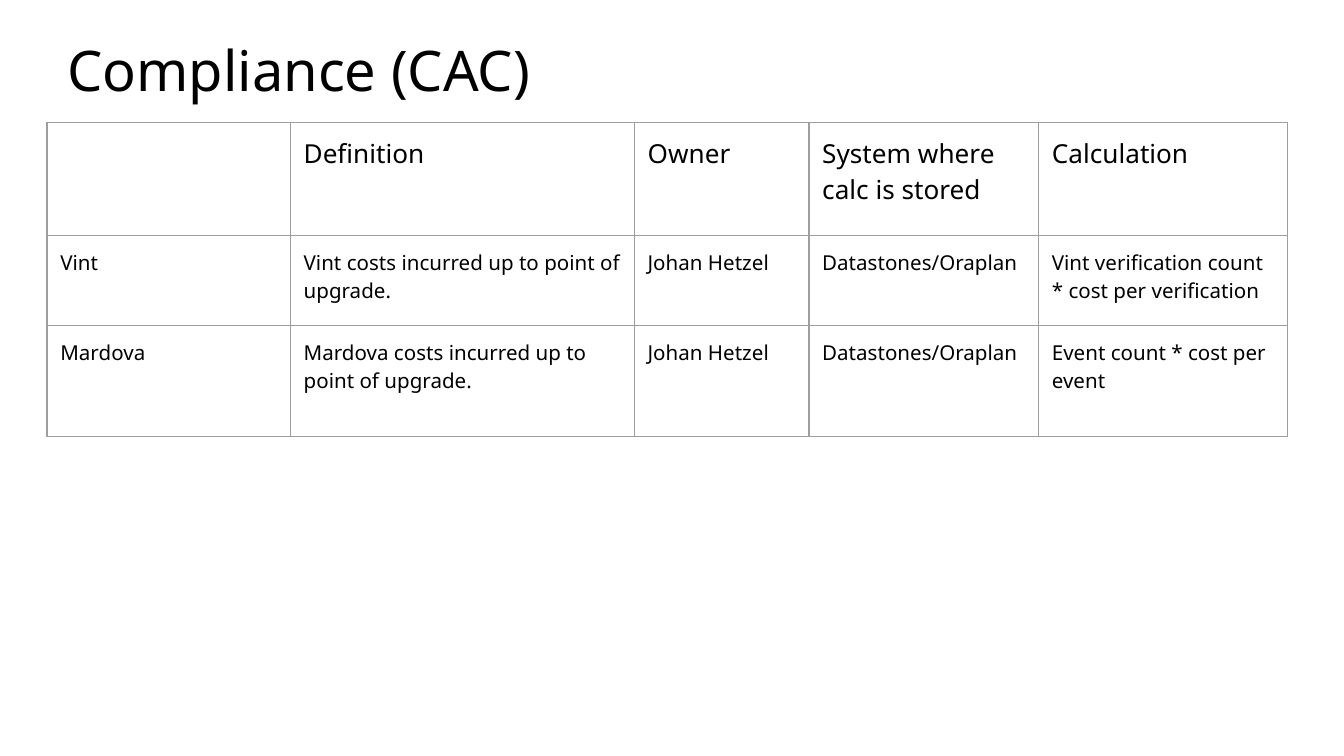
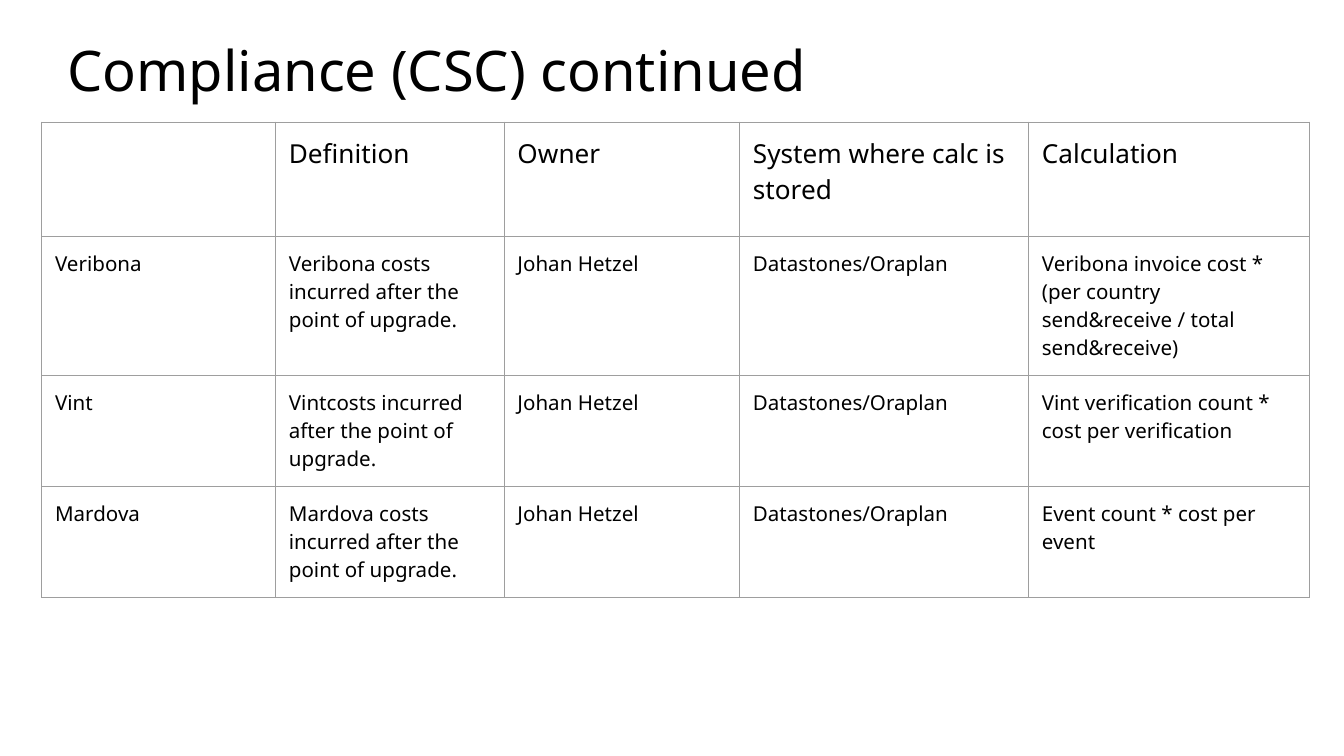
from lxml.etree import SubElement as Sub
from pptx import Presentation
from pptx.dml.color import RGBColor
from pptx.enum.text import MSO_ANCHOR as Anchor, MSO_AUTO_SIZE as Auto, PP_ALIGN as Align
from pptx.oxml.ns import qn
from pptx.util import Cm, Pt

INK = RGBColor(0x00, 0x00, 0x00)
RULE = RGBColor(0x9E, 0x9E, 0x9E)
FONT = "Noto Sans"
INSET = Cm(0.25)
TOP = 2.31
HEAD = ["", "Definition", "Owner", "System where calc is stored", "Calculation"]
OWNER = "Johan Hetzel"
STORE = "Datastones/Oraplan"
VINT = "Vint verification count * cost per verification"
EVENT = "Event count * cost per event"


def pad(box):
    """Give a frame or cell the shared inset on all sides."""
    box.margin_left = box.margin_right = INSET
    box.margin_top = box.margin_bottom = INSET


def style(para, size):
    """Set the shared font on a paragraph."""
    para.alignment = Align.LEFT
    font = para.font
    font.name, font.size, font.bold = FONT, Pt(size), False
    font.color.rgb = INK


def add_title(slide, text):
    """Place and format the slide title."""
    title = slide.shapes.title
    title.left, title.top = Cm(1.02), Cm(0.43)
    title.width, title.height = Cm(23.32), Cm(1.75)
    frame = title.text_frame
    frame.text = text
    frame.word_wrap, frame.auto_size = True, Auto.NONE
    frame.vertical_anchor = Anchor.TOP
    pad(frame)
    style(frame.paragraphs[0], 30)


def add_rules(cell):
    """Draw thin grey borders round a cell."""
    props = cell._tc.get_or_add_tcPr()
    for side in ("a:lnL", "a:lnR", "a:lnT", "a:lnB"):
        line = Sub(props, qn(side), w=str(Pt(0.75)))
        fill = Sub(line, qn("a:solidFill"))
        Sub(fill, qn("a:srgbClr"), val=str(RULE))


def add_grid(slide, left, cols, highs, rows):
    """Add the cost table with its header row."""
    rows = [HEAD] + rows
    frame = slide.shapes.add_table(len(rows), len(cols), Cm(left), Cm(TOP),
                                   Cm(sum(cols)), Cm(sum(highs)))
    table = frame.table
    table.first_row = table.horz_banding = False
    for col, width in zip(table.columns, cols):
        col.width = Cm(width)
    for i, (row, high, texts) in enumerate(zip(table.rows, highs, rows)):
        row.height = Cm(high)
        for cell, text in zip(row.cells, texts):
            cell.text = text
            pad(cell)
            style(cell.text_frame.paragraphs[0], 11 if i else 14)
            add_rules(cell)
            cell.fill.background()


def add_page(deck, title, left, cols, highs, costs):
    """Add one slide with a title and a table of costs."""
    slide = deck.slides.add_slide(deck.slide_layouts[5])
    add_title(slide, title)
    rows = [[name, text, OWNER, STORE, calc] for name, text, calc in costs]
    add_grid(slide, left, cols, highs, rows)


def main():
    """Build and save the deck."""
    deck = Presentation()
    deck.slide_width, deck.slide_height = Cm(25.4), Cm(14.29)
    add_page(deck, "Compliance (CAC)", 0.89,
             [4.6, 6.5, 3.3, 4.34, 4.7], [2.14, 1.7, 2.1], [
                 ("Vint", "Vint costs incurred up to point of upgrade.", VINT),
                 ("Mardova", "Mardova costs incurred up to point of upgrade.", EVENT),
             ])
    add_page(deck, "Compliance (CSC) continued", 0.79,
             [4.42, 4.32, 4.45, 5.46, 5.31], [2.16, 2.63, 2.1, 2.1], [
                 ("Veribona", "Veribona costs incurred after the point of upgrade.",
                  "Veribona invoice cost * (per country send&receive / total send&receive)"),
                 ("Vint", "Vintcosts incurred after the point of upgrade.", VINT),
                 ("Mardova", "Mardova costs incurred after the point of upgrade.", EVENT),
             ])
    deck.save("out.pptx")


if __name__ == "__main__":
    main()
